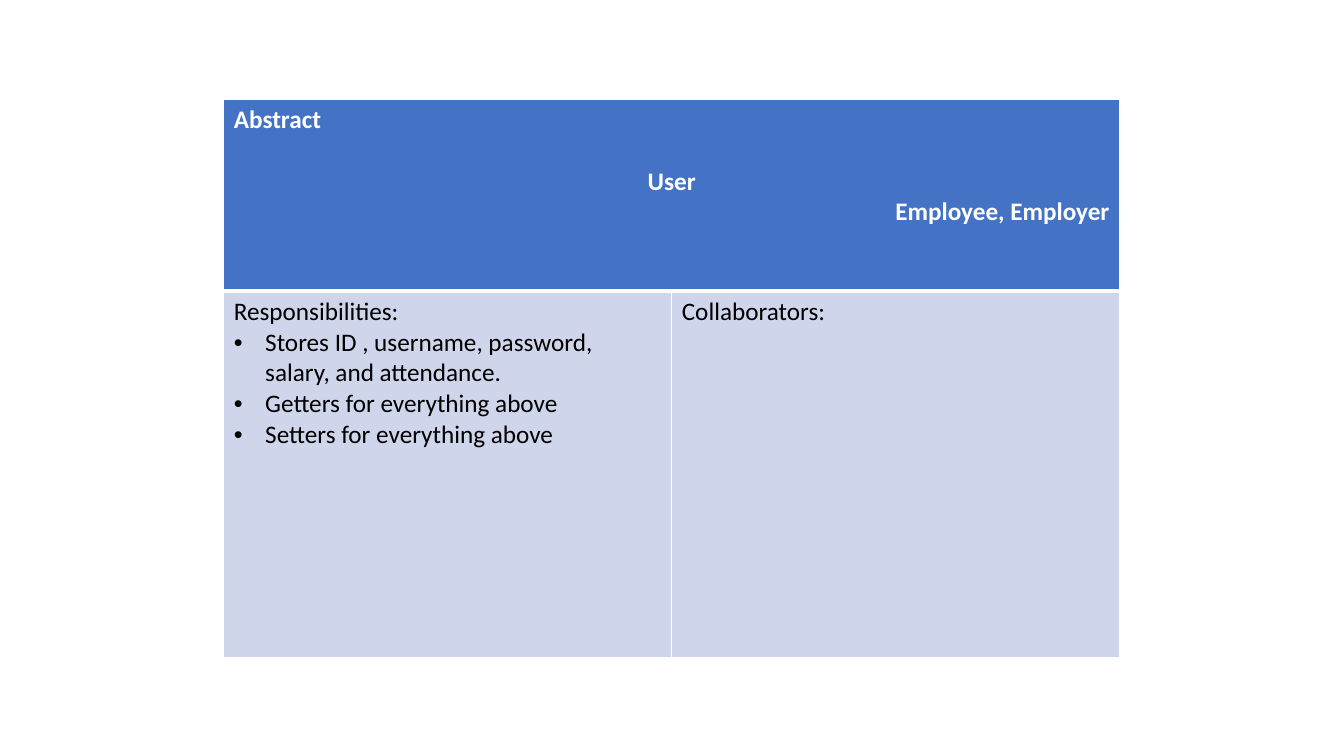
"""Build a CRC card slide for the abstract User class."""
from lxml import etree
from pptx import Presentation, util as u
from pptx.dml.color import RGBColor
from pptx.enum import text
from pptx.oxml.ns import qn

THEME = {
    "font": "Calibri",
    "size": u.Pt(18),
    "header_fill": RGBColor.from_string("4472C4"),
    "body_fill": RGBColor.from_string("CFD5EA"),
    "header_text": RGBColor.from_string("FFFFFF"),
    "body_text": RGBColor.from_string("000000"),
    "border": "FFFFFF",
    "thin": u.Pt(1),
    "thick": u.Pt(3),
}
LEFT, CENTER, RIGHT = text.PP_ALIGN.LEFT, text.PP_ALIGN.CENTER, text.PP_ALIGN.RIGHT
INDENT = u.Cm(0.79)


def style_cell(cell, header):
    pr = cell._tc.get_or_add_tcPr()
    for side in ("lnL", "lnR", "lnT", "lnB"):
        divider = side == ("lnB" if header else "lnT")
        width = THEME["thick"] if divider else THEME["thin"]
        ln = etree.SubElement(pr, qn(f"a:{side}"), w=str(int(width)))
        fill = etree.SubElement(ln, qn("a:solidFill"))
        etree.SubElement(fill, qn("a:srgbClr"), val=THEME["border"])
    cell.fill.solid()
    cell.fill.fore_color.rgb = THEME["header_fill" if header else "body_fill"]


def write_cell(cell, lines, header):
    tf = cell.text_frame
    tf.text = "\n".join(line for line, _, _ in lines)
    for p, (_, align, bullet) in zip(tf.paragraphs, lines):
        p.alignment = align
        if bullet:
            pr = p._p.get_or_add_pPr()
            pr.set("marL", str(int(INDENT)))
            pr.set("indent", str(-int(INDENT)))
            etree.SubElement(pr, qn("a:buFont"), typeface="Arial")
            etree.SubElement(pr, qn("a:buChar"), char="•")
        for r in p.runs:
            r.font.name = THEME["font"]
            r.font.size = THEME["size"]
            r.font.bold = header
            r.font.color.rgb = THEME["header_text" if header else "body_text"]


prs = Presentation()
prs.slide_width, prs.slide_height = u.Cm(33.87), u.Cm(19.05)
s = prs.slides.add_slide(prs.slide_layouts[6])

card = s.shapes.add_table(2, 2, u.Cm(5.64), u.Cm(2.51), u.Cm(22.58), u.Cm(14.05)).table
card.horz_banding = False
for row, height in zip(card.rows, (4.83, 9.22)):
    row.height = u.Cm(height)
for i, row in enumerate(card.rows):
    for cell in row.cells:
        style_cell(cell, header=i == 0)

title = card.cell(0, 0)
title.merge(card.cell(0, 1))
write_cell(title, [
    ("Abstract", LEFT, False),
    ("User", CENTER, False),
    ("Employee, Employer", RIGHT, False),
], header=True)
title.text_frame.paragraphs[1].space_before = u.Pt(22)

write_cell(card.cell(1, 0), [
    ("Responsibilities:", LEFT, False),
    ("Stores ID , username, password, salary, and attendance.", LEFT, True),
    ("Getters for everything above", LEFT, True),
    ("Setters for everything above", LEFT, True),
], header=False)
write_cell(card.cell(1, 1), [("Collaborators:", LEFT, False)], header=False)

prs.save("out.pptx")
